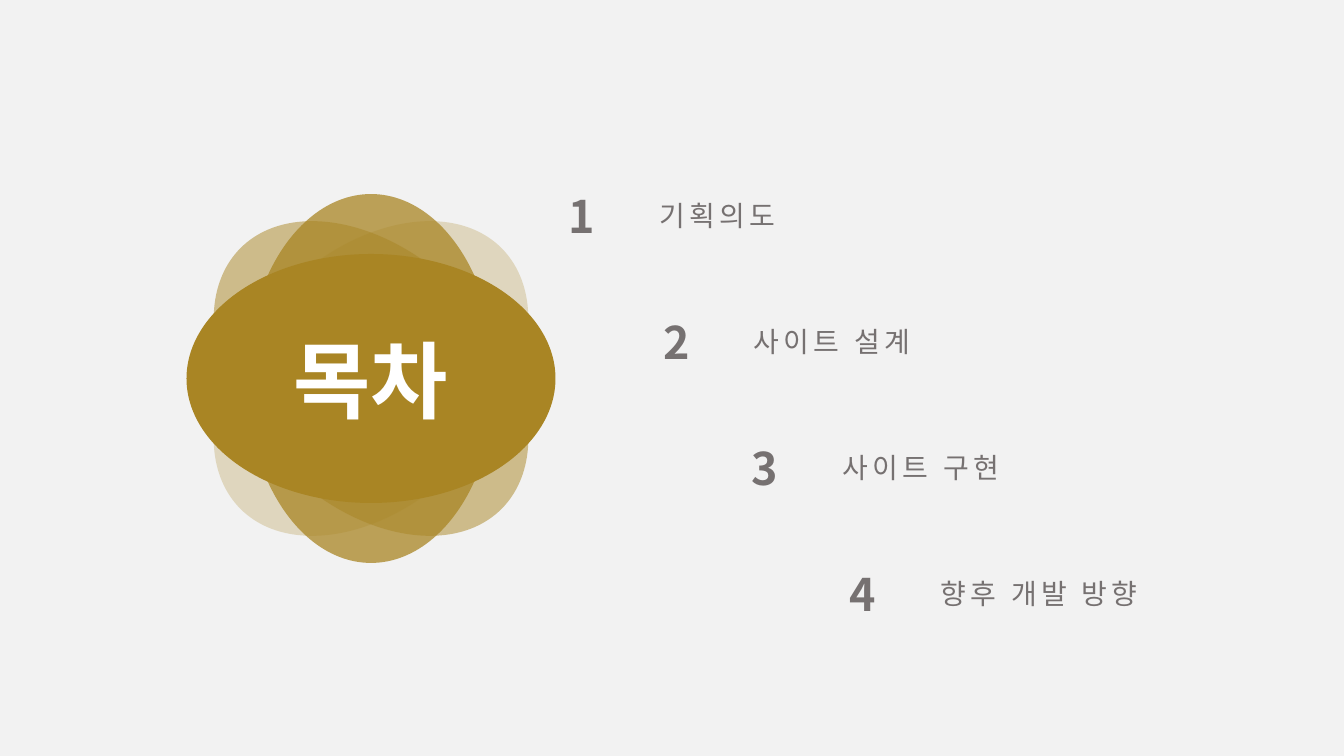
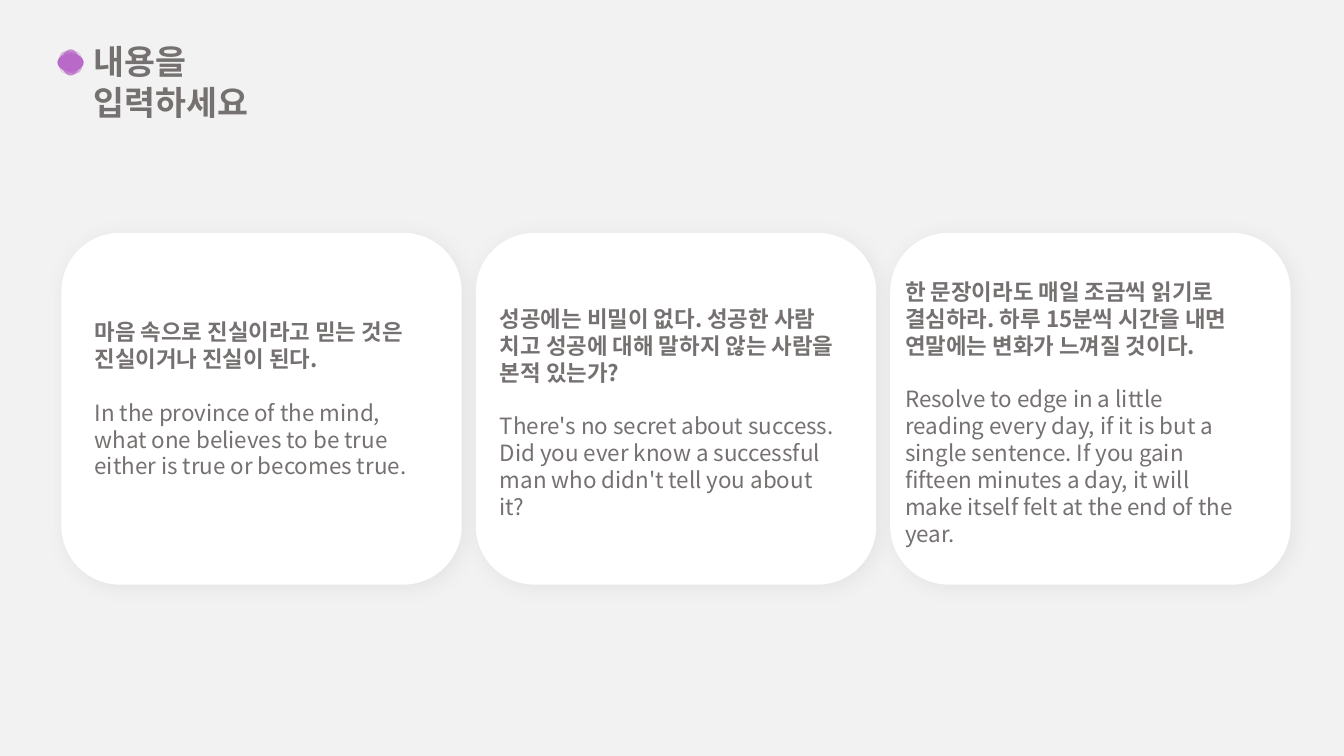
from lxml import etree
from pptx import Presentation
from pptx.dml.color import RGBColor
from pptx.enum.shapes import MSO_SHAPE as SHAPE
from pptx.enum.text import MSO_ANCHOR as ANCHOR, MSO_AUTO_SIZE as AUTO, PP_ALIGN as ALIGN
from pptx.oxml.ns import qn
from pptx.util import Pt

PX = 9144
FONT = "Noto Sans CJK KR"
COLORS = {
    "background": "F2F2F2",
    "text": "767171",
    "white": "FFFFFF",
    "shadow": "000000",
    "gold": "A98524",
    "purple": "B969C8",
}
PETALS = [(90, 75), (45, 50), (315, 25), (0, 100)]
AGENDA = [
    (554, 149, "기획의도"),
    (648, 196, "사이트 설계"),
    (736, 196, "사이트 구현"),
    (833, 242, "향후 개발 방향"),
]
QUOTES = [
    (172, "마음 속으로 진실이라고 믿는 것은 진실이거나 진실이 된다.",
     "In the province of the mind, what one believes to be true either is true or becomes true."),
    (199, "성공에는 비밀이 없다. 성공한 사람 치고 성공에 대해 말하지 않는 사람을 본적 있는가?",
     "There's no secret about success. Did you ever know a successful man who didn't tell you about it?"),
    (252, "한 문장이라도 매일 조금씩 읽기로 결심하라. 하루 15분씩 시간을 내면 연말에는 변화가 느껴질 것이다.",
     "Resolve to edge in a little reading every day, if it is but a single sentence. "
     "If you gain fifteen minutes a day, it will make itself felt at the end of the year."),
]


def rgb(name):
    return RGBColor.from_string(COLORS[name])


def emu(*lengths):
    return [length * PX for length in lengths]


def set_text(p, text, size, color="text", bold=False, spacing=0):
    p.text = text
    for r in p.runs:
        r.font.size = Pt(size)
        r.font.bold = bold
        r.font.name = FONT
        r.font.color.rgb = rgb(color)
        rPr = r.font._element
        etree.SubElement(rPr, qn("a:ea"), typeface=FONT)
        if spacing:
            rPr.set("spc", str(spacing * 100))


def add_text(shapes, box, text, size, wrap=False, **style):
    sp = shapes.add_textbox(*emu(*box))
    tf = sp.text_frame
    tf.word_wrap = wrap
    tf.auto_size = AUTO.SHAPE_TO_FIT_TEXT
    set_text(tf.paragraphs[0], text, size, **style)
    return tf


def add_shape(shapes, kind, box, color):
    sp = shapes.add_shape(kind, *emu(*box))
    sp.shadow.inherit = False
    sp.fill.solid()
    sp.fill.fore_color.rgb = rgb(color)
    sp.line.fill.background()
    return sp


def set_alpha(parent, percent):
    clr = next(parent.iter(qn("a:srgbClr")))
    etree.SubElement(clr, qn("a:alpha"), val=str(percent * 1000))


def add_flower(s, box, color):
    group = s.shapes.add_group_shape()
    for angle, opacity in PETALS:
        sp = add_shape(group.shapes, SHAPE.OVAL, box, color)
        sp.rotation = angle
        if opacity < 100:
            set_alpha(sp._element.spPr, opacity)
    return sp


def add_agenda_item(s, number, x, y, width, label):
    shapes = s.shapes.add_group_shape().shapes
    add_text(shapes, (x, y, 47, 64), str(number), 32, bold=True)
    add_text(shapes, (x + 90, y + 10, width, 44), label, 20, spacing=3)


def add_card(s, x):
    sp = add_shape(s.shapes, SHAPE.ROUNDED_RECTANGLE, (x, 231, 397, 349), "white")
    effects = sp._element.spPr.find(qn("a:effectLst"))
    shadow = etree.SubElement(effects, qn("a:outerShdw"), blurRad=str(Pt(15)),
                              dist=str(Pt(3)), dir="2700000", algn="tl", rotWithShape="0")
    etree.SubElement(shadow, qn("a:srgbClr"), val=COLORS["shadow"])
    set_alpha(shadow, 5)


def add_quote(s, x, height, korean, english):
    box = (x, 397 - height // 2, 357, height)
    tf = add_text(s.shapes, box, korean, 16, wrap=True, bold=True)
    p = tf.add_paragraph()
    p.space_before = Pt(19)
    set_text(p, english, 16)


def add_title(s, text):
    add_text(s.shapes, (83, 36, 240, 50), text, 24, wrap=True, bold=True)
    add_flower(s, (57, 53, 26, 18), "purple")


def add_slide(prs):
    return prs.slides.add_slide(prs.slide_layouts[6])


def build_contents(prs):
    s = add_slide(prs)
    for i, (x, width, label) in enumerate(AGENDA):
        add_agenda_item(s, i + 1, x, 182 + 125 * i, width, label)
    tf = add_flower(s, (185, 252, 366, 247), "gold").text_frame
    tf.vertical_anchor = ANCHOR.MIDDLE
    p = tf.paragraphs[0]
    p.alignment = ALIGN.CENTER
    set_text(p, "목차", 60, color="white", bold=True)


def build_quotes(prs):
    s = add_slide(prs)
    for i in range(len(QUOTES)):
        add_card(s, 61 + 411 * i)
    for i, quote in enumerate(QUOTES):
        add_quote(s, 84 + 402 * i, *quote)
    add_title(s, "내용을 입력하세요")


def main():
    prs = Presentation()
    prs.slide_width, prs.slide_height = emu(1333, 750)
    fill = prs.slide_master.background.fill
    fill.solid()
    fill.fore_color.rgb = rgb("background")
    build_contents(prs)
    build_quotes(prs)
    prs.save("out.pptx")


if __name__ == "__main__":
    main()
